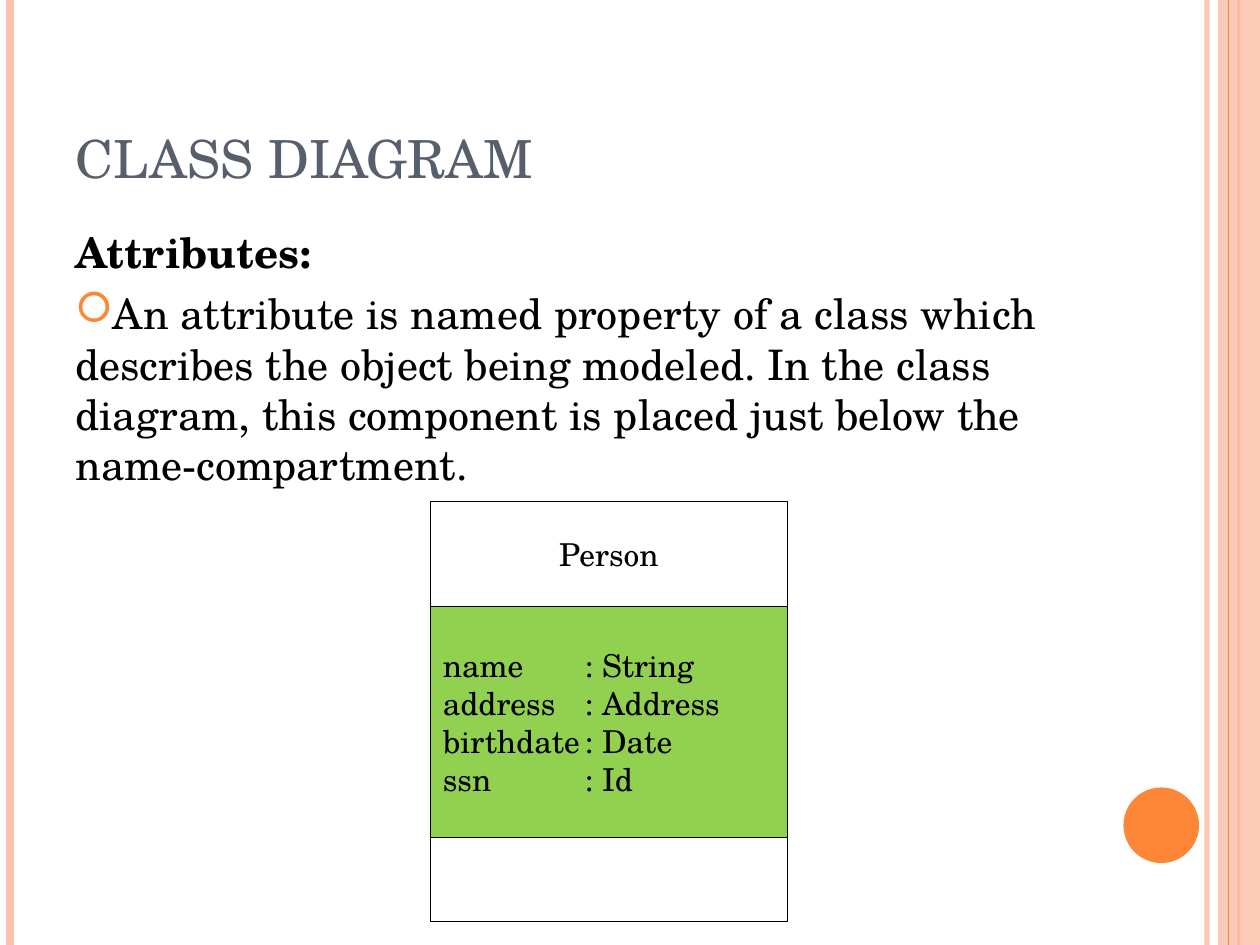
from lxml.etree import SubElement
from pptx import Presentation
from pptx.dml.color import RGBColor
from pptx.enum.shapes import MSO_CONNECTOR, MSO_SHAPE
from pptx.enum.text import MSO_ANCHOR, PP_ALIGN
from pptx.oxml.ns import qn
from pptx.util import Pt

FONT = "TeX Gyre Schola"
PEACH, ORANGE, BLACK, WHITE = "FEC3AE", "FE8637", "000000", "FFFFFF"


def paint(target, color, alpha=100):
    target.solid()
    target.fore_color.rgb = RGBColor.from_string(color)
    if alpha < 100:
        node = target._xPr.find(".//" + qn("a:srgbClr"))
        SubElement(node, qn("a:alpha"), val=str(alpha * 1000))


def rule(slide, x, color, width, alpha=100):
    line = slide.shapes.add_connector(MSO_CONNECTOR.STRAIGHT, Pt(x), Pt(0), Pt(x), Pt(540))
    paint(line.line.fill, color, alpha)
    line.line.width = Pt(width)
    SubElement(line._element.spPr, qn("a:effectLst"))


def block(shapes, kind, box, fill, edge=None, alpha=100):
    shape = shapes.add_shape(kind, *map(Pt, box))
    shape.shadow.inherit = False
    paint(shape.fill, fill, alpha)
    if edge:
        paint(shape.line.fill, edge)
        shape.line.width = Pt(0.75)
    else:
        shape.line.fill.background()
    return shape


def bullet(para, char, color, indent):
    props = para._p.get_or_add_pPr()
    props.set("marL", "0")
    props.set("indent", str(Pt(indent)))
    tint = SubElement(props, qn("a:buClr"))
    SubElement(tint, qn("a:srgbClr"), val=color)
    SubElement(props, qn("a:buFont"), typeface="Wingdings", pitchFamily="2", charset="2")
    SubElement(props, qn("a:buChar"), char=char)


def tab(para, stop):
    tabs = SubElement(para._p.get_or_add_pPr(), qn("a:tabLst"))
    SubElement(tabs, qn("a:tab"), pos=str(Pt(stop)), algn="l")


def write(para, text, size=18, color=BLACK, bold=False, align=PP_ALIGN.LEFT, before=0):
    para.alignment = align
    para.space_before = Pt(before)
    run = para.add_run()
    run.text = text
    font = run.font
    font.name, font.size, font.bold = FONT, Pt(size), bold
    font.color.rgb = RGBColor.from_string(color)


def area(slide, box, anchor=MSO_ANCHOR.TOP):
    frame = slide.shapes.add_textbox(*map(Pt, box)).text_frame
    frame.word_wrap = True
    frame.vertical_anchor = anchor
    return frame


def frame_edges(slide):
    rule(slide, 689.76, PEACH, 3, 93)
    rule(slide, 5.76, PEACH, 4.5)
    rule(slide, 707.76, ORANGE, 1.5)
    block(slide.shapes, MSO_SHAPE.RECTANGLE, (696, 0, 24, 540), PEACH, alpha=87)
    rule(slide, 702, ORANGE, 0.75)
    block(slide.shapes, MSO_SHAPE.OVAL, (642, 450, 43.2, 43.2), ORANGE)


def person(slide):
    group = slide.shapes.add_group_shape()
    top, parts = 286.5, []
    for height, fill in ((60, WHITE), (132, "92D050"), (48, WHITE)):
        box = (246, top, 204, height)
        parts.append(block(group.shapes, MSO_SHAPE.RECTANGLE, box, fill, BLACK))
        top += height
    name, fields = (part.text_frame for part in parts[:2])
    for frame in (name, fields):
        frame.word_wrap = False
        frame.vertical_anchor = MSO_ANCHOR.MIDDLE
    write(name.paragraphs[0], "Person", align=PP_ALIGN.CENTER)
    rows = (("name", "String"), ("address", "Address"), ("birthdate", "Date"), ("ssn", "Id"))
    for i, (field, kind) in enumerate(rows):
        para = fields.add_paragraph() if i else fields.paragraphs[0]
        tab(para, 81)
        write(para, f"{field}\t: {kind}")


def main():
    deck = Presentation()
    deck.slide_width, deck.slide_height = Pt(720), Pt(540)
    slide = deck.slides.add_slide(deck.slide_layouts[6])
    frame_edges(slide)
    title = area(slide, (36, 21.6, 588, 90), MSO_ANCHOR.BOTTOM)
    write(title.paragraphs[0], "CLASS DIAGRAM", size=30, color="575F6D")
    body = area(slide, (36, 126, 588, 384))
    write(body.paragraphs[0], "Attributes:", size=24, bold=True)
    para = body.add_paragraph()
    bullet(para, "¡", ORANGE, -8.64)
    write(para, "An attribute is named property of a class which describes the object "
          "being modeled. In the class diagram, this component is placed just below "
          "the name-compartment.", size=24, before=6)
    person(slide)
    deck.save("out.pptx")


if __name__ == "__main__":
    main()
